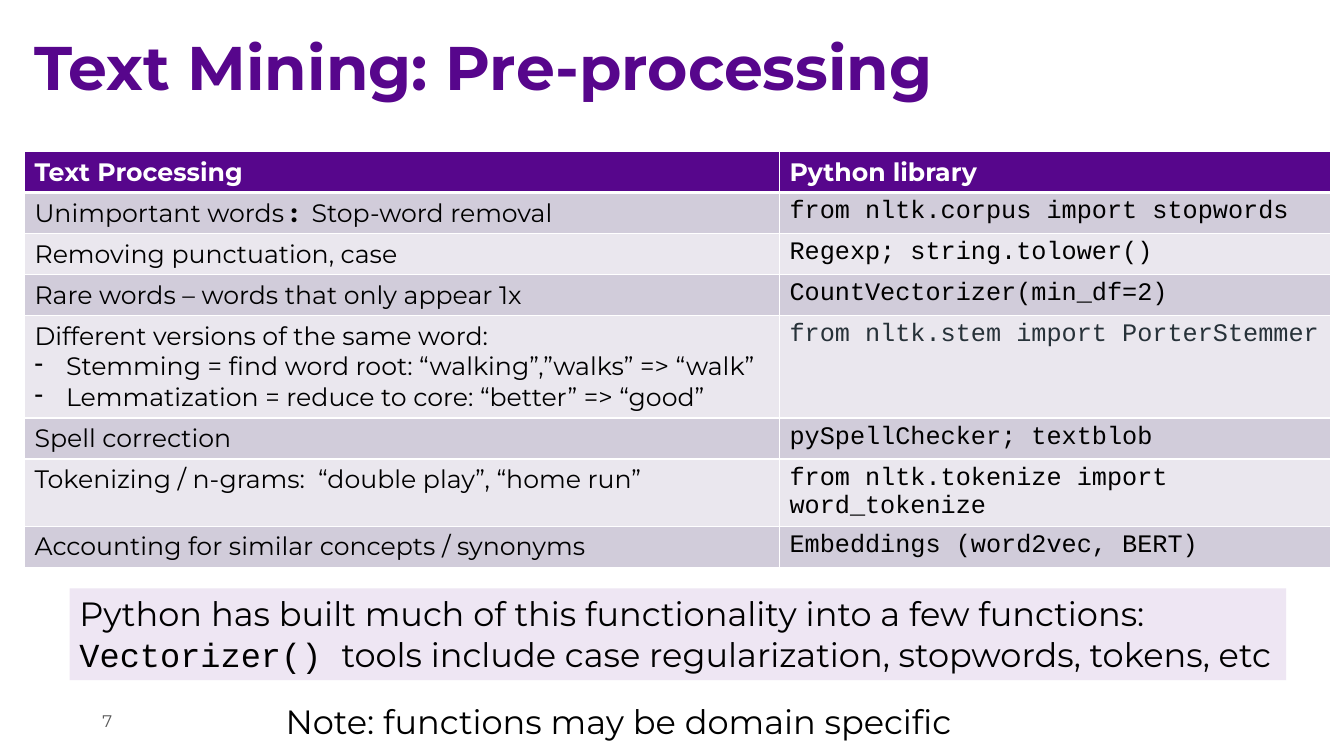
from pptx import Presentation
from pptx.dml.color import RGBColor as RGB
from pptx.enum.shapes import MSO_SHAPE as SHAPE
from pptx.enum.text import MSO_ANCHOR as ANCHOR, MSO_AUTO_SIZE as AUTO, PP_ALIGN as ALIGN
from pptx.oxml.ns import qn
from pptx.util import Pt
from lxml.etree import SubElement

COLORS = {
    "purple": "57068C", "white": "FFFFFF", "black": "000000", "gray": "595959",
    "slate": "273239", "odd": "D1CCDA", "even": "EAE7EE", "lilac": "EEE6F3",
}
SANS, MONO = "Montserrat", "Courier New"
COLUMNS = [539.28, 393.84]
ROW_HEIGHT = 29.3
TALL_ROWS = {4: 73, 6: 48}
STEPS = [
    (["Unimportant words :  Stop-word removal"], "from nltk.corpus import stopwords"),
    (["Removing punctuation, case"], "Regexp; string.tolower()"),
    (["Rare words – words that only appear 1x"], "CountVectorizer(min_df=2)"),
    (["Different versions of the same word:",
      "Stemming = find word root: “walking”,”walks” => “walk”",
      "Lemmatization = reduce to core: “better” => “good”"],
     "from nltk.stem import PorterStemmer"),
    (["Spell correction"], "pySpellChecker; textblob"),
    (["Tokenizing / n-grams:  “double play”, “home run”"],
     "from nltk.tokenize import word_tokenize"),
    (["Accounting for similar concepts / synonyms"], "Embeddings (word2vec, BERT)"),
]


def color(name):
    """Return the named colour."""
    return RGB.from_string(COLORS[name])


def add_run(para, text, size, name=SANS, ink="black", bold=False):
    """Append a formatted run to a paragraph."""
    run = para.add_run()
    run.text = text
    for key, value in {"size": Pt(size), "name": name, "bold": bold}.items():
        setattr(run.font, key, value)
    run.font.color.rgb = color(ink)


def add_label(page, box, text, size, anchor=ANCHOR.TOP, wrap=True, spacing=None, **style):
    """Place a single-paragraph text box."""
    frame = page.shapes.add_textbox(*map(Pt, box)).text_frame
    settings = {"word_wrap": wrap, "vertical_anchor": anchor, "auto_size": AUTO.NONE}
    for key, value in settings.items():
        setattr(frame, key, value)
    para = frame.paragraphs[0]
    para.line_spacing = spacing
    add_run(para, text, size, **style)


def add_dash(para):
    """Give a paragraph a hanging dash bullet."""
    properties = para._p.get_or_add_pPr()
    properties.set("marL", str(Pt(22.5)))
    properties.set("indent", str(Pt(-22.5)))
    SubElement(properties, qn("a:buChar"), char="-")


def style_cell(cell, fill, top, bottom):
    """Draw white borders of the given widths, then fill the cell."""
    properties = cell._tc.get_or_add_tcPr()
    for side, width in zip("LRTB", (1, 1, top, bottom)):
        line = SubElement(properties, qn(f"a:ln{side}"), w=str(Pt(width)))
        solid = SubElement(line, qn("a:solidFill"))
        SubElement(solid, qn("a:srgbClr"), val=COLORS["white"])
    cell.fill.solid()
    cell.fill.fore_color.rgb = color(fill)


def add_steps(page, left, top):
    """Build the table of processing steps and their libraries."""
    heights = [TALL_ROWS.get(row, ROW_HEIGHT) for row in range(len(STEPS) + 1)]
    box = (left, top, sum(COLUMNS), sum(heights))
    table = page.shapes.add_table(len(heights), 2, *map(Pt, box)).table
    for column, width in zip(table.columns, COLUMNS):
        column.width = Pt(width)
    for row, height in zip(table.rows, heights):
        row.height = Pt(height)
    for column, heading in enumerate(["Text Processing", "Python library"]):
        cell = table.cell(0, column)
        style_cell(cell, "purple", 1, 3)
        add_run(cell.text_frame.paragraphs[0], heading, 18, ink="white", bold=True)
    for row, (lines, library) in enumerate(STEPS, 1):
        step, code = table.cell(row, 0), table.cell(row, 1)
        for cell in (step, code):
            style_cell(cell, "odd" if row % 2 else "even", 3 if row == 1 else 1, 1)
        frame = step.text_frame
        for index, text in enumerate(lines):
            para = frame.add_paragraph() if index else frame.paragraphs[0]
            if index:
                add_dash(para)
            before, colon, after = text.partition(":  ") if row == 1 else (text, "", "")
            add_run(para, before, 18)
            if colon:
                add_run(para, colon, 18, bold=True)
                add_run(para, after, 18)
        ink = "slate" if "PorterStemmer" in library else "black"
        add_run(code.text_frame.paragraphs[0], library, 18, MONO, ink)


def add_summary(page, box):
    """Place the shaded summary of the built-in functions."""
    panel = page.shapes.add_shape(SHAPE.RECTANGLE, *map(Pt, box))
    panel.shadow.inherit = False
    panel.fill.solid()
    panel.fill.fore_color.rgb = color("lilac")
    panel.line.fill.background()
    frame = panel.text_frame
    frame.word_wrap = True
    frame.vertical_anchor = ANCHOR.TOP
    first, second = frame.paragraphs[0], frame.add_paragraph()
    for para in (first, second):
        para.alignment = ALIGN.LEFT
    add_run(first, "Python has built much of this functionality into a few functions:", 24)
    add_run(second, "Vectorizer() ", 24, MONO)
    add_run(second, "tools include case regularization, stopwords, tokens, etc", 24)


def main():
    """Build and save the slide."""
    deck = Presentation()
    deck.slide_width, deck.slide_height = Pt(960), Pt(540)
    page = deck.slides.add_slide(deck.slide_layouts[6])
    add_label(page, (66, 500.4, 106.6, 28.8), "7", 12, ANCHOR.MIDDLE, ink="gray")
    add_label(page, (17.3, 10.8, 828, 79.2), "Text Mining: Pre-processing", 44,
              ANCHOR.MIDDLE, spacing=0.9, ink="purple", bold=True)
    add_steps(page, 17.5, 108.3)
    add_summary(page, (49.7, 420.3, 869, 65.5))
    add_label(page, (196.9, 496.8, 495.4, 36), "Note: functions may be domain specific",
              24, wrap=False)
    deck.save("out.pptx")


if __name__ == "__main__":
    main()
